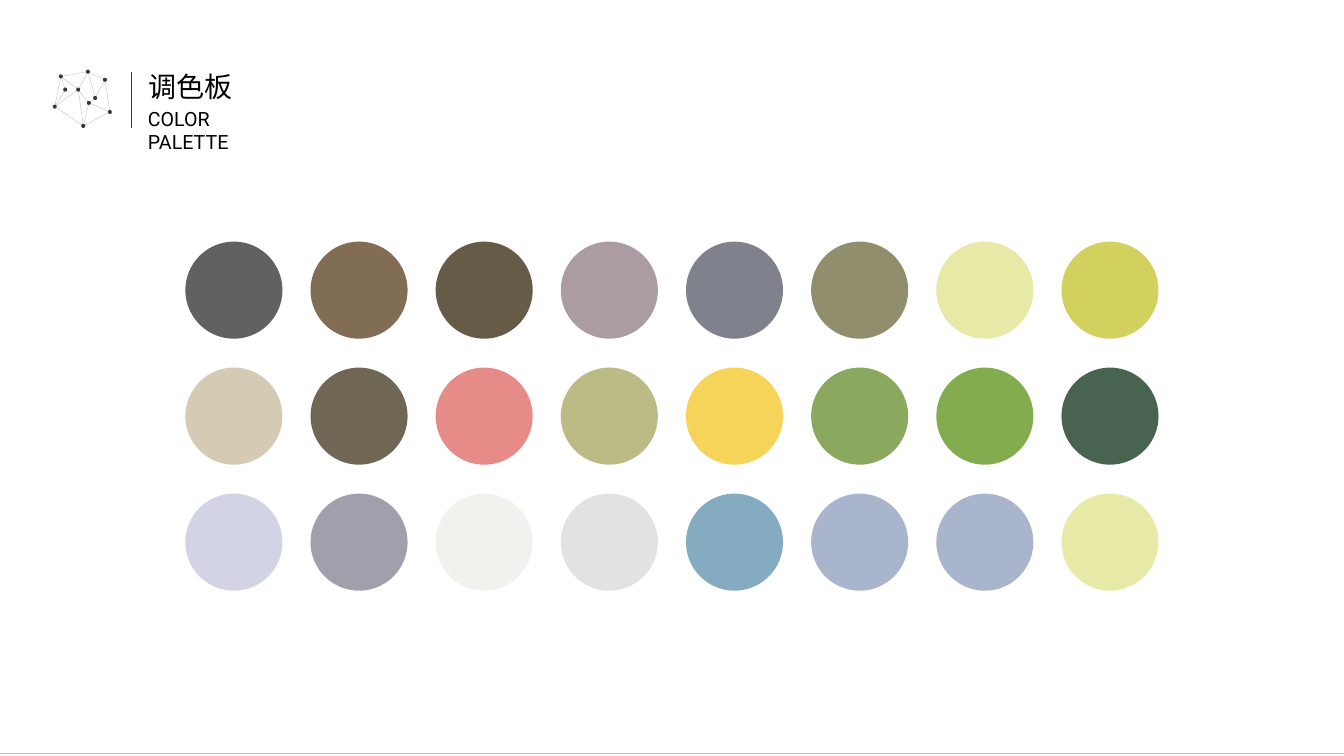
from dataclasses import dataclass

from lxml.etree import SubElement
from pptx import Presentation
from pptx.dml.color import RGBColor
from pptx.enum.shapes import MSO_CONNECTOR as CONN, MSO_SHAPE as SHAPE
from pptx.enum.text import MSO_ANCHOR as ANCHOR, MSO_AUTO_SIZE as AUTO, PP_ALIGN as ALIGN
from pptx.oxml.ns import qn
from pptx.util import Pt


@dataclass(frozen=True)
class Theme:
    text: str = "000000"
    divider: str = "1B3A49"
    rule: str = "BFBFBF"
    node: str = "383838"
    title_font: str = "Noto Sans CJK SC"
    subtitle_font: str = "Roboto"
    title_size: int = 20
    subtitle_size: int = 14
    # Swatches by row: colour and opacity in percent
    swatches: tuple = (
        (("2D2D2D", 75), ("573B1B", 75), ("40331A", 80), ("907C85", 75),
         ("555967", 75), ("6B693D", 75), ("DEE389", 75), ("C4C229", 75)),
        (("C7B99A", 75), ("40331A", 75), ("DC5753", 69), ("A6A45D", 75),
         ("F2C622", 75), ("638C29", 75), ("599114", 75), ("0B3016", 75)),
        (("C3C6DD", 75), ("817F90", 75), ("E7E7E0", 55), ("D9D9D9", 75),
         ("20678D", 55), ("A9B5CD", 100), ("A9B5CD", 100), ("DEE389", 75)),
    )


theme = Theme()


def add_line(shapes, start, end, color, width):
    line = shapes.add_connector(CONN.STRAIGHT, *map(Pt, start + end))
    line.line.color.rgb = RGBColor.from_string(color)
    line.line.width = Pt(width)
    SubElement(line._element.spPr, qn("a:effectLst"))


def add_dot(shapes, left, top, size, color, opacity=100):
    dot = shapes.add_shape(SHAPE.OVAL, Pt(left), Pt(top), Pt(size), Pt(size))
    dot.shadow.inherit = False
    dot.line.fill.background()
    dot.fill.solid()
    dot.fill.fore_color.rgb = RGBColor.from_string(color)
    if opacity < 100:
        clr = dot._element.spPr.find(qn("a:solidFill"))[0]
        SubElement(clr, qn("a:alpha"), val=str(opacity * 1000))


prs = Presentation()
prs.slide_width, prs.slide_height = Pt(960), Pt(540)
s = prs.slides.add_slide(prs.slide_layouts[5])

# Heading
title = s.shapes.title
title.left, title.top, title.width, title.height = Pt(98.6), Pt(46), Pt(75), Pt(32)
subtitle = s.shapes.add_textbox(Pt(98.6), Pt(72.7), Pt(112.3), Pt(24.5))
headings = (
    (title, "调色板", theme.title_font, theme.title_size, False),
    (subtitle, "COLOR PALETTE", theme.subtitle_font, theme.subtitle_size, True),
)
for sp, text, font, size, wrap in headings:
    tf = sp.text_frame
    tf.text = text
    tf.word_wrap = wrap
    tf.auto_size = AUTO.NONE
    tf.vertical_anchor = ANCHOR.TOP
    p = tf.paragraphs[0]
    p.alignment = ALIGN.LEFT
    r = p.runs[0]
    r.font.name = font
    r.font.size = Pt(size)
    r.font.color.rgb = RGBColor.from_string(theme.text)
    SubElement(r.font._element, qn("a:ea"), typeface=font)

add_line(s.shapes, (93.6, 51.2), (93.6, 91.4), theme.divider, 0.5)

# Network emblem: node centres and the links between them
nodes = {
    "bottom": (59.5, 90), "center": (63.5, 73.5), "east": (78.5, 80),
    "inner": (68, 70), "northeast": (75, 57), "top": (62.8, 51.2),
    "hub": (55.9, 64), "northwest": (43.5, 54.6), "left": (46.6, 64),
    "west": (39.1, 76.2),
}
links = (
    ("east", "northeast"), ("bottom", "east"), ("west", "bottom"),
    ("northwest", "top"), ("top", "northeast"), ("west", "northwest"),
    ("northeast", "inner"), ("center", "bottom"), ("inner", "center"),
    ("hub", "bottom"), ("hub", "west"), ("northwest", "left"),
    ("northwest", "hub"), ("top", "hub"), ("top", "inner"),
    ("hub", "center"), ("left", "west"), ("east", "center"),
)
node_size = 2.9
emblem = s.shapes.add_group_shape()
for start, end in links:
    add_line(emblem.shapes, nodes[start], nodes[end], theme.rule, 0.25)
for x, y in nodes.values():
    add_dot(emblem.shapes, x - node_size / 2, y - node_size / 2, node_size, theme.node)

# Colour swatches
for row, colors in enumerate(theme.swatches):
    for col, (color, opacity) in enumerate(colors):
        add_dot(s.shapes, 132.4 + 89.4 * col, 172.6 + 90 * row, 69.3, color, opacity)

# Bottom rule
add_line(s.shapes, (0, 538.4), (960, 538.4), theme.rule, 0.5)

prs.save("out.pptx")
